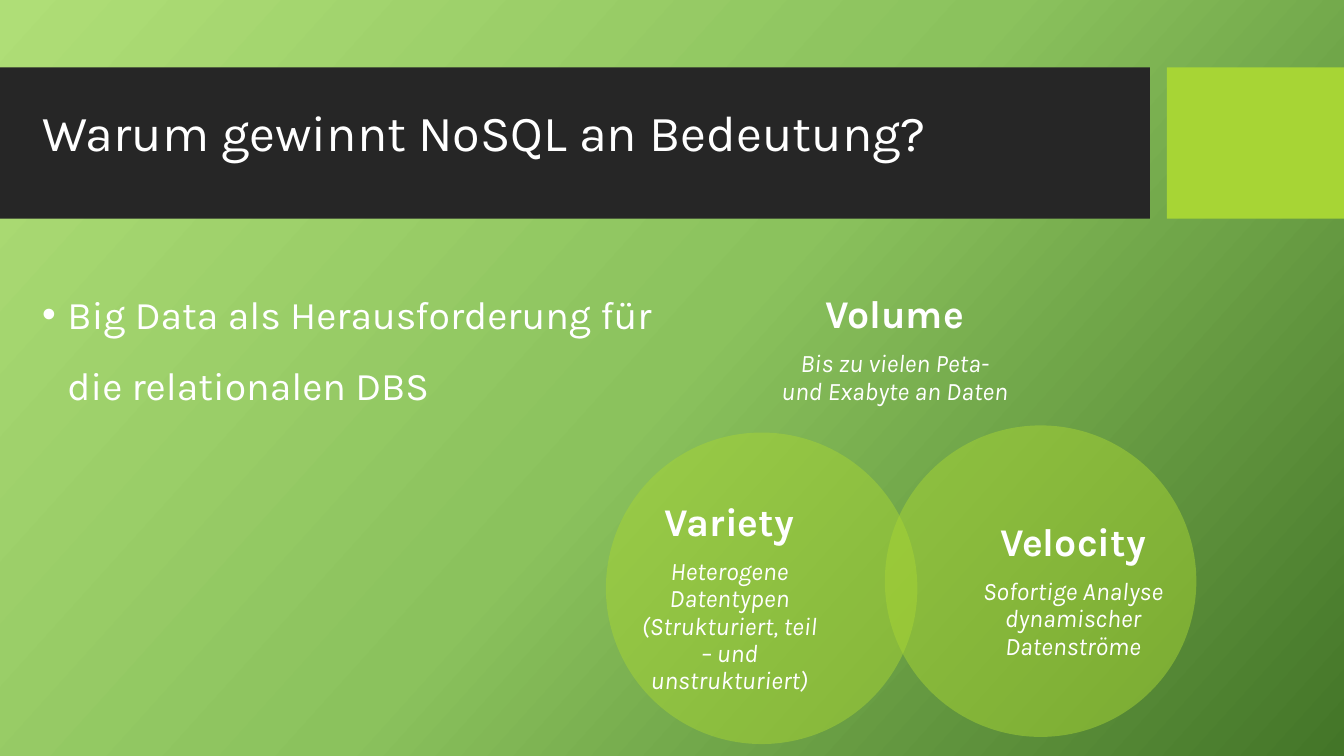
import pptx
import pptx.util
import pptx.dml.color
import pptx.enum.shapes
import pptx.enum.text
import pptx.oxml
import pptx.oxml.ns
from dataclasses import dataclass

Cm = pptx.util.Cm
Pt = pptx.util.Pt
RGB = pptx.dml.color.RGBColor.from_string
ALIGN = pptx.enum.text.PP_ALIGN
ANCHOR = pptx.enum.text.MSO_ANCHOR
SHAPE = pptx.enum.shapes.MSO_SHAPE
qn = pptx.oxml.ns.qn
NS = pptx.oxml.ns.nsdecls("a")


@dataclass(frozen=True)
class Theme:
    font: str = "Karla"
    text: str = "FFFFFF"
    band: str = "262626"
    accent: str = "A7D535"
    gradient: tuple = ((0, "AFDE77"), (50, "8BC25D"), (100, "437528"))
    angle: int = 42
    title: int = 36
    heading: int = 28
    detail: int = 18


class Deck:
    def __init__(self, theme):
        self.theme = theme
        self.prs = pptx.Presentation()
        self.prs.slide_width, self.prs.slide_height = Cm(33.87), Cm(19.05)
        self.slide = self.prs.slides.add_slide(self.prs.slide_layouts[5])

    def background(self):
        self.slide.background.fill.gradient()
        old = self.slide.element.find(".//" + qn("a:gradFill"))
        stops = "".join(
            f'<a:gs pos="{pos * 1000}"><a:srgbClr val="{color}"/></a:gs>'
            for pos, color in self.theme.gradient)
        new = pptx.oxml.parse_xml(
            f'<a:gradFill {NS} rotWithShape="1"><a:gsLst>{stops}</a:gsLst>'
            f'<a:lin ang="{self.theme.angle * 60000}" scaled="0"/></a:gradFill>')
        old.getparent().replace(old, new)

    def shape(self, kind, box, color, opacity=100):
        sp = self.slide.shapes.add_shape(kind, *map(Cm, box))
        sp.shadow.inherit = False
        sp.fill.solid()
        sp.fill.fore_color.rgb = RGB(color)
        sp.line.fill.background()
        if opacity < 100:
            clr = sp.element.spPr.find(".//" + qn("a:srgbClr"))
            clr.append(pptx.oxml.parse_xml(
                f'<a:alpha {NS} val="{opacity * 1000}"/>'))

    def frame(self, sp, **values):
        tf = sp.text_frame
        values = {"word_wrap": True,
                  "auto_size": pptx.enum.text.MSO_AUTO_SIZE.NONE, **values}
        for name, value in values.items():
            setattr(tf, name, value)
        return tf

    def run(self, p, text, size, layout, bold=False, italic=False):
        for name, value in layout.items():
            setattr(p, name, value)
        r = p.add_run()
        r.text = text
        font = {"name": self.theme.font, "size": Pt(size),
                "bold": bold, "italic": italic}
        for name, value in font.items():
            setattr(r.font, name, value)
        r.font.color.rgb = RGB(self.theme.text)

    def title(self, text, box):
        sp = self.slide.shapes.title
        sp.left, sp.top, sp.width, sp.height = map(Cm, box)
        tf = self.frame(sp, vertical_anchor=ANCHOR.TOP)
        self.run(tf.paragraphs[0], text, self.theme.title,
                 {"alignment": ALIGN.LEFT, "line_spacing": 0.9})
        sp.element.getparent().append(sp.element)

    def bullet(self, text, box):
        tf = self.frame(self.slide.shapes.add_textbox(*map(Cm, box)))
        p = tf.paragraphs[0]
        pPr = p._p.get_or_add_pPr()
        pPr.set("marL", str(Cm(0.64)))
        pPr.set("indent", str(-Cm(0.64)))
        pPr.append(pptx.oxml.parse_xml(f'<a:buFont {NS} typeface="Arial"/>'))
        pPr.append(pptx.oxml.parse_xml(f'<a:buChar {NS} char="•"/>'))
        self.run(p, text, self.theme.heading, {"line_spacing": 1.5})

    def label(self, heading, detail, box):
        sp = self.slide.shapes.add_textbox(*map(Cm, box))
        tf = self.frame(sp, vertical_anchor=ANCHOR.MIDDLE, margin_left=0,
                        margin_right=0, margin_top=0, margin_bottom=0)
        layout = {"alignment": ALIGN.CENTER, "line_spacing": 0.9}
        self.run(tf.paragraphs[0], heading, self.theme.heading,
                 {**layout, "space_after": Pt(9.8)}, bold=True)
        self.run(tf.add_paragraph(), detail, self.theme.detail,
                 layout, italic=True)


def main():
    theme = Theme()
    deck = Deck(theme)
    deck.background()
    band_top, band_height = 1.7, 3.81
    deck.shape(SHAPE.RECTANGLE, (0, band_top, 28.98, band_height), theme.band)
    deck.shape(SHAPE.RECTANGLE, (29.41, band_top, 4.46, band_height), theme.accent)
    deck.title("Warum gewinnt NoSQL an Bedeutung?", (0.81, 2.59, 26.7, 3))
    deck.bullet("Big Data als Herausforderung für die relationalen DBS",
                (0.81, 6.6, 16.79, 12.2))
    deck.label("Volume", "Bis zu vielen Peta- und Exabyte an Daten",
               (19.66, 7.06, 5.77, 3.53))
    diameter, label_drop = 7.85, 2.03
    circles = (
        ("Velocity", "Sofortige Analyse dynamischer Datenströme",
         22.3, 10.72, 24.69),
        ("Variety", "Heterogene Datentypen (Strukturiert, teil – und unstrukturiert)",
         15.27, 10.9, 16.03),
    )
    for heading, detail, left, top, label_left in circles:
        deck.shape(SHAPE.OVAL, (left, top, diameter, diameter), theme.accent, 50)
        deck.label(heading, detail, (label_left, top + label_drop, 4.7, 4.32))
    deck.prs.save("out.pptx")


if __name__ == "__main__":
    main()
